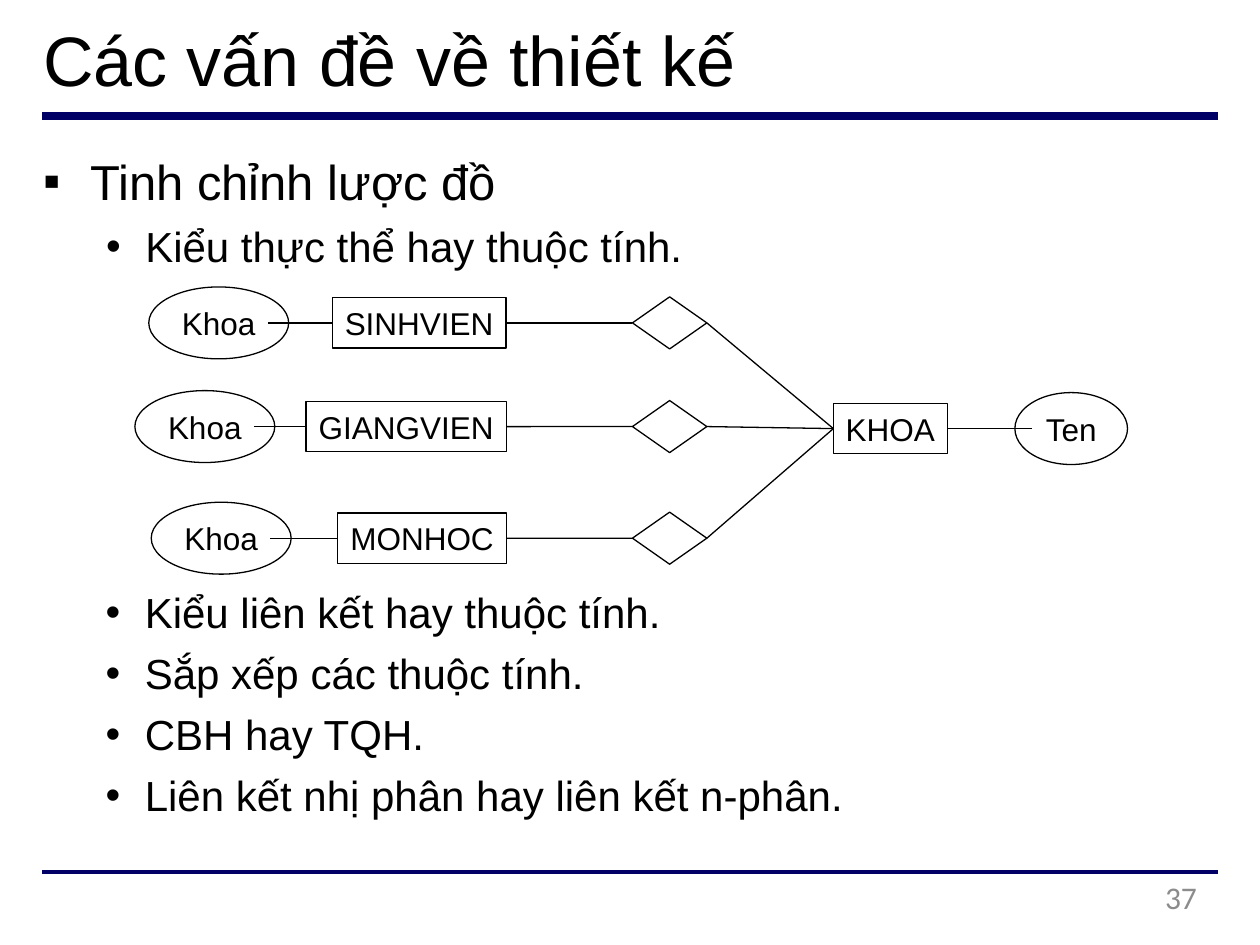
from lxml import etree
from pptx import Presentation
from pptx import util as u
from pptx.dml.color import RGBColor
from pptx.enum import shapes, text
from pptx.oxml.ns import qn

Cm, Pt = u.Cm, u.Pt
HUES = {"ink": "000000", "rule": "000066", "page": "8C8C8C"}
KIND = shapes.MSO_SHAPE
TOP, LEFT, BASE, RIGHT = range(4)

# name, box left, box width, oval left, middle height (cm)
ROWS = [
    ("SINHVIEN", 6.7, 3.5, 3.0, 6.51),
    ("GIANGVIEN", 6.17, 4.04, 2.72, 8.6),
    ("MONHOC", 6.81, 3.4, 3.05, 10.85),
]
HUB_Y = 8.64
STUB = 0.42  # how far a line reaches into an oval


def hue(name):
    return RGBColor.from_string(HUES[name])


def style(para, size, face="Arial", ink="ink"):
    font = para.font
    font.name, font.size = face, Pt(size)
    font.color.rgb = hue(ink)


def frame(slide, x, y, w, h, top=0):
    """Add an empty wrapping text box and return its text frame."""
    tf = slide.shapes.add_textbox(Cm(x), Cm(y), Cm(w), Cm(h)).text_frame
    tf.word_wrap = True
    tf.margin_left = tf.margin_right = tf.margin_bottom = 0
    tf.margin_top = Cm(top)
    return tf


def label(tf, words, size, **look):
    para = tf.paragraphs[0]
    para.text = words
    style(para, size, **look)
    return para


def bullets(tf, items):
    """Fill a frame from (text, size, mark, indent, hang, gap, level) items."""
    for i, (words, size, mark, indent, hang, gap, level) in enumerate(items):
        para = tf.add_paragraph() if i else tf.paragraphs[0]
        para.text = words
        para.level = level
        if i:
            para.space_before = Pt(gap)
        props = para._p.get_or_add_pPr()
        props.set("marL", str(Cm(indent)))
        props.set("indent", str(-Cm(hang)))
        etree.SubElement(props, qn("a:buFont")).set("typeface", "Arial")
        etree.SubElement(props, qn("a:buChar")).set("char", mark)
        style(para, size)


def node(slide, kind, x, mid, w, h, words=""):
    """Add an outlined shape centred on the height mid."""
    shape = slide.shapes.add_shape(kind, Cm(x), Cm(mid - h / 2), Cm(w), Cm(h))
    shape.shadow.inherit = False
    shape.fill.background()
    shape.line.color.rgb = hue("ink")
    shape.line.width = Pt(0.75)
    if words:
        tf = shape.text_frame
        tf.word_wrap = False
        tf.margin_left = tf.margin_right = tf.margin_top = tf.margin_bottom = 0
        tf.vertical_anchor = text.MSO_ANCHOR.MIDDLE
        label(tf, words, 18).alignment = text.PP_ALIGN.CENTER
    return shape


def line(slide, x1=0, y1=0, x2=0, y2=0, ink="ink", width=0.75, start=None, end=None):
    """Draw a line; start and end are optional (shape, side) joints."""
    link = slide.shapes.add_connector(
        shapes.MSO_CONNECTOR.STRAIGHT, Cm(x1), Cm(y1), Cm(x2), Cm(y2))
    if start:
        link.begin_connect(*start)
    if end:
        link.end_connect(*end)
    link.line.color.rgb = hue(ink)
    link.line.width = Pt(width)
    etree.SubElement(link._element.spPr, qn("a:effectLst"))


def diagram(slide):
    hub = node(slide, KIND.RECTANGLE, 16.8, HUB_Y, 2.3, 1.02, "KHOA")
    for name, x, w, oval, mid in ROWS:
        node(slide, KIND.OVAL, oval, mid, 2.82, 1.45, "Khoa")
        box = node(slide, KIND.RECTANGLE, x, mid, w, 1.02, name)
        tie = node(slide, KIND.DIAMOND, 12.75, mid, 1.5, 1.05)
        line(slide, oval + 2.82 - STUB, mid, end=(box, LEFT))
        line(slide, start=(box, RIGHT), end=(tie, LEFT))
        line(slide, start=(tie, RIGHT), end=(hub, LEFT))
    node(slide, KIND.OVAL, 20.46, HUB_Y, 2.27, 1.45, "Ten")
    line(slide, x2=20.8, y2=HUB_Y, start=(hub, RIGHT))


def main():
    deck = Presentation()
    deck.slide_width, deck.slide_height = Cm(25.4), Cm(19.05)
    slide = deck.slides.add_slide(deck.slide_layouts[6])

    for y, width in ((2.33, 4.5), (17.57, 2.25)):
        line(slide, 0.85, y, 24.55, y, "rule", width)
    label(frame(slide, 0.87, 0.13, 21.5, 1.93, 0.2), "Các vấn đề về thiết kế", 40)

    bullets(frame(slide, 0.85, 2.77, 13, 2.74, 0.28), [
        ("Tinh chỉnh lược đồ", 28, "▪", 0.97, 0.94, 0, 0),
        ("Kiểu thực thể hay thuộc tính.", 24, "•", 2.08, 0.79, 6.2, 1),
    ])
    diagram(slide)
    points = ["Kiểu liên kết hay thuộc tính.", "Sắp xếp các thuộc tính.",
              "CBH hay TQH.", "Liên kết nhị phân hay liên kết n-phân."]
    bullets(frame(slide, 2.11, 11.58, 15, 4.98, 0.25),
            [(words, 24, "•", 0.81, 0.79, 6, 0) for words in points])

    page = label(frame(slide, 18.29, 17.7, 5.84, 0.97), "37", 18,
                 face="Calibri", ink="page")
    page.alignment = text.PP_ALIGN.RIGHT
    deck.save("out.pptx")


if __name__ == "__main__":
    main()
